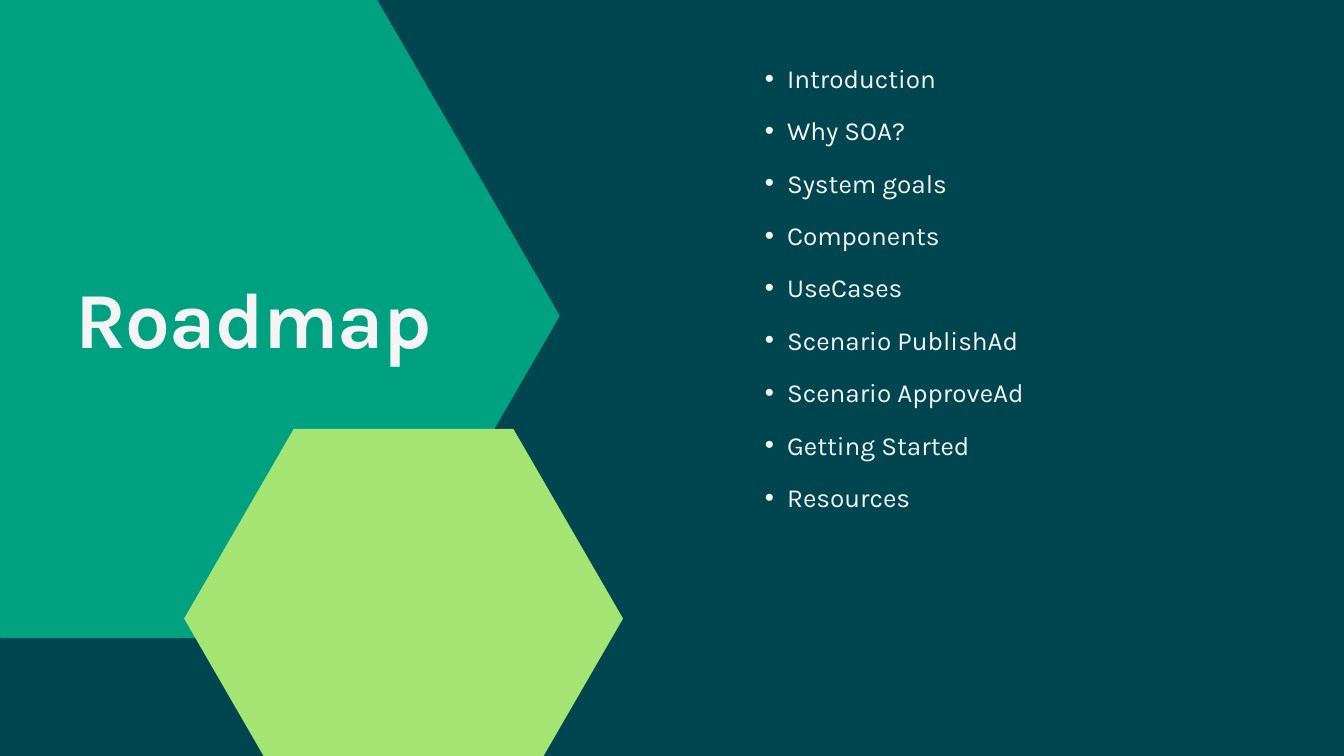
"""Build the Roadmap agenda slide with two hexagons and a bulleted list."""
from lxml import etree
from pptx import Presentation
from pptx import util as u
from pptx.dml.color import RGBColor
from pptx.enum import shapes, text
from pptx.oxml.ns import qn

COLOURS = {"background": "004651", "green": "00A181", "lime": "A4E473", "text": "F4F4F4"}
FONT = "Karla"
TITLE = "Roadmap"
TOPICS = [
    "Introduction",
    "Why SOA?",
    "System goals",
    "Components",
    "UseCases",
    "Scenario PublishAd",
    "Scenario ApproveAd",
    "Getting Started",
    "Resources",
]
HEXAGONS = [
    ("green", -7.01, -0.25, 28.17, 24.38),
    ("lime", 6.96, 16.21, 16.59, 14.35),
]
LIST_LEFT, LIST_TOP, LIST_PITCH = 28.07, 2.16, 1.98
LIST_WIDTH, LIST_HEIGHT = 16.97, 1.35
BULLET_INDENT = 0.84


def add_hexagon(slide, colour, left, top, width, height):
    shape = slide.shapes.add_shape(
        shapes.MSO_SHAPE.HEXAGON, u.Cm(left), u.Cm(top), u.Cm(width), u.Cm(height)
    )
    shape.adjustments[0] = 0.25 * width / height
    shape.shadow.inherit = False
    shape.fill.solid()
    shape.fill.fore_color.rgb = RGBColor.from_string(COLOURS[colour])
    shape.line.fill.background()


def add_bullet(paragraph):
    paragraph.level = 1
    properties = paragraph._p.get_or_add_pPr()
    properties.set("marL", str(u.Cm(2 * BULLET_INDENT)))
    properties.set("indent", str(-u.Cm(BULLET_INDENT)))
    etree.SubElement(properties, qn("a:buFont")).set("typeface", "Arial")
    etree.SubElement(properties, qn("a:buChar")).set("char", "•")


def add_text(slide, words, *, left, top, width, height, size, leading,
             bold=False, bullet=False, tracking=None):
    box = slide.shapes.add_textbox(u.Cm(left), u.Cm(top), u.Cm(width), u.Cm(height))
    frame = box.text_frame
    frame.margin_left = frame.margin_top = frame.margin_right = frame.margin_bottom = 0
    frame.word_wrap = True
    frame.auto_size = text.MSO_AUTO_SIZE.SHAPE_TO_FIT_TEXT
    paragraph = frame.paragraphs[0]
    if bullet:
        add_bullet(paragraph)
    paragraph.line_spacing = u.Pt(leading)
    run = paragraph.add_run()
    run.text = words
    run.font.name = FONT
    run.font.size = u.Pt(size)
    run.font.bold = bold
    run.font.color.rgb = RGBColor.from_string(COLOURS["text"])
    if tracking is not None:
        run._r.get_or_add_rPr().set("spc", str(round(tracking * 100)))


def main():
    presentation = Presentation()
    presentation.slide_width = u.Cm(50.8)
    presentation.slide_height = u.Cm(28.58)
    slide = presentation.slides.add_slide(presentation.slide_layouts[6])
    slide.background.fill.solid()
    slide.background.fill.fore_color.rgb = RGBColor.from_string(COLOURS["background"])

    for hexagon in HEXAGONS:
        add_hexagon(slide, *hexagon)
    add_text(slide, TITLE, left=2.84, top=10.16, width=20.68, height=3.58,
             size=85, leading=102, bold=True, tracking=-0.8)
    for index, topic in enumerate(TOPICS):
        add_text(slide, topic, left=LIST_LEFT, top=LIST_TOP + index * LIST_PITCH,
                 width=LIST_WIDTH, height=LIST_HEIGHT, size=28, leading=39.2, bullet=True)
    presentation.save("out.pptx")


if __name__ == "__main__":
    main()
